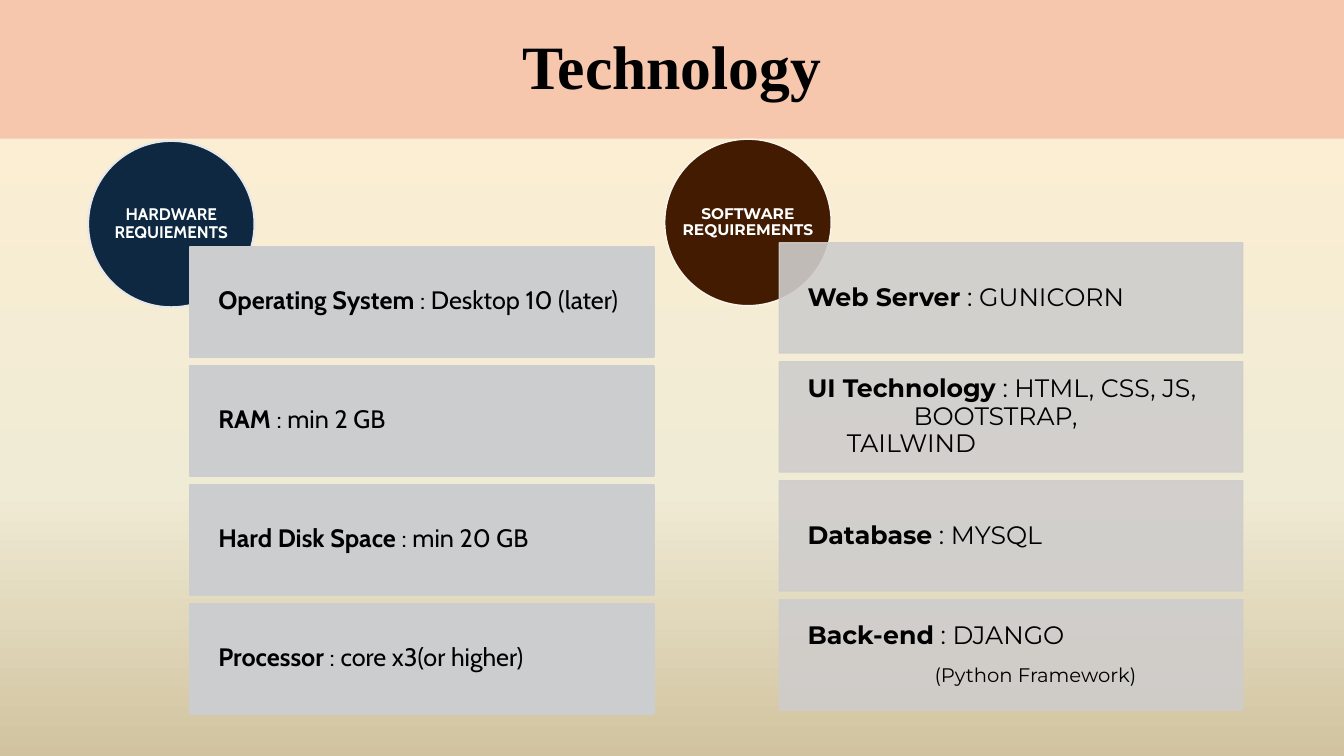
import copy
import pptx
import pptx.util
import pptx.dml.color
import pptx.enum.shapes
import pptx.enum.text
import pptx.oxml
import pptx.oxml.ns

Pt = pptx.util.Pt
SHAPES = pptx.enum.shapes.MSO_SHAPE
ALIGN = pptx.enum.text.PP_ALIGN
TILE_WIDTH, TILE_HEIGHT, TILE_PITCH = 331, 78.8, 85
CIRCLE_SIZE = 118.9

HARDWARE = [
    [("Operating System", " : Desktop 10 (later)", 18, 0, 0)],
    [("RAM", " : min 2 GB", 18, 0, 0)],
    [("Hard Disk Space", " : min 20 GB", 18, 0, 0)],
    [("Processor", " : core x3(or higher)", 18, 0, 0)],
]
SOFTWARE = [
    [("Web Server", " : GUNICORN", 18, 0, 0)],
    [
        ("UI Technology", " : HTML, CSS, JS,", 18, 0, 0),
        ("", "BOOTSTRAP,", 18, 75.7, 0),
        ("", "TAILWIND", 18, 28, 0),
    ],
    [("Database", " : MYSQL", 18, 0, 0)],
    [
        ("Back-end", " : DJANGO", 18, 0, 0),
        ("", "(Python Framework)", 14, 90.7, 11),
    ],
]


def paint(color_format, color, opacity=100):
    color_format.rgb = pptx.dml.color.RGBColor.from_string(color)
    return opacity


def set_opacity(shape, opacity):
    for color in shape.element.spPr.iter(pptx.oxml.ns.qn("a:srgbClr")):
        color.append(pptx.oxml.parse_xml(
            f'<a:alpha {pptx.oxml.ns.nsdecls("a")} val="{opacity * 1000}"/>'))


def add_block(slide, kind, left, top, width, height, fill, line=None, line_width=1):
    shape = slide.shapes.add_shape(kind, Pt(left), Pt(top), Pt(width), Pt(height))
    shape.shadow.inherit = False
    shape.fill.solid()
    paint(shape.fill.fore_color, fill)
    if line:
        paint(shape.line.color, line)
        shape.line.width = Pt(line_width)
    else:
        shape.line.fill.background()
    shape.text_frame.vertical_anchor = pptx.enum.text.MSO_ANCHOR.MIDDLE
    return shape


def style(paragraph, font_name, size, color, bold=None, alignment=ALIGN.LEFT):
    paragraph.alignment = alignment
    paragraph.line_spacing = 0.9
    paragraph.font.name = font_name
    paragraph.font.size = Pt(size)
    paragraph.font.bold = bold
    paint(paragraph.font.color, color)


def set_background(slide, stops):
    fill = slide.background.fill
    fill.gradient()
    fill.gradient_angle = 270
    stop_list = next(slide.element.iter(pptx.oxml.ns.qn("a:gsLst")))
    stop_list.append(copy.deepcopy(stop_list[-1]))
    for stop, (position, color) in zip(fill.gradient_stops, stops):
        stop.position = position
        paint(stop.color, color)


def add_title(slide, text):
    banner = add_block(slide, SHAPES.RECTANGLE, 0, 0, 960, 99, "F6C6AD")
    banner.text_frame.text = text
    style(banner.text_frame.paragraphs[0], "Times New Roman", 44, "000000", True, ALIGN.CENTER)


def add_circle(slide, left, top, label, fill, line, line_width, font_name, size):
    circle = add_block(slide, SHAPES.OVAL, left, top, CIRCLE_SIZE, CIRCLE_SIZE,
                       fill, line, line_width)
    circle.text_frame.word_wrap = False
    circle.text_frame.text = label
    style(circle.text_frame.paragraphs[0], font_name, size, "FFFFFF", True, ALIGN.CENTER)


def add_tile(slide, left, top, lines, fill, line_width, font_name, opacity):
    tile = add_block(slide, SHAPES.RECTANGLE, left, top, TILE_WIDTH, TILE_HEIGHT,
                     fill, fill, line_width)
    if opacity < 100:
        set_opacity(tile, opacity)
    frame = tile.text_frame
    frame.word_wrap = True
    frame.margin_left = Pt(20.2)
    frame.margin_right = frame.margin_top = frame.margin_bottom = Pt(8.6)
    for index, (name, value, size, indent, space_before) in enumerate(lines):
        paragraph = frame.add_paragraph() if index else frame.paragraphs[0]
        if indent:
            properties = paragraph._p.get_or_add_pPr()
            properties.set("marL", str(Pt(indent)))
            properties.set("indent", "0")
        if space_before:
            paragraph.space_before = Pt(space_before)
        style(paragraph, font_name, size, "000000")
        if name:
            run = paragraph.add_run()
            run.text = name
            run.font.bold = True
        paragraph.add_run().text = value


def add_tiles(slide, left, top, tiles, fill, line_width, font_name, opacity):
    for index, lines in enumerate(tiles):
        add_tile(slide, left, top + index * TILE_PITCH, lines, fill,
                 line_width, font_name, opacity)


def main():
    presentation = pptx.Presentation()
    presentation.slide_width = Pt(960)
    presentation.slide_height = Pt(540)
    slide = presentation.slides.add_slide(presentation.slide_layouts[6])
    set_background(slide, [(0, "FFEFD1"), (0.65, "F0EBD5"), (1, "D1C39F")])
    add_title(slide, "Technology")
    add_circle(slide, 474.8, 99.4, "SOFTWARE\vREQUIREMENTS", "421B00", "FAF4EF", 1,
               "Montserrat", 11)
    add_tiles(slide, 556.6, 173.4, SOFTWARE, "CFCDCC", 1, "Montserrat", 90)
    add_circle(slide, 62.9, 100.6, "HARDWARE\vREQUIEMENTS", "0E2841", "E8E8E8", 1.5,
               "Cabin", 12)
    add_tiles(slide, 135.8, 176.2, HARDWARE, "CCCDCF", 1.5, "Cabin", 100)
    presentation.save("out.pptx")


if __name__ == "__main__":
    main()
